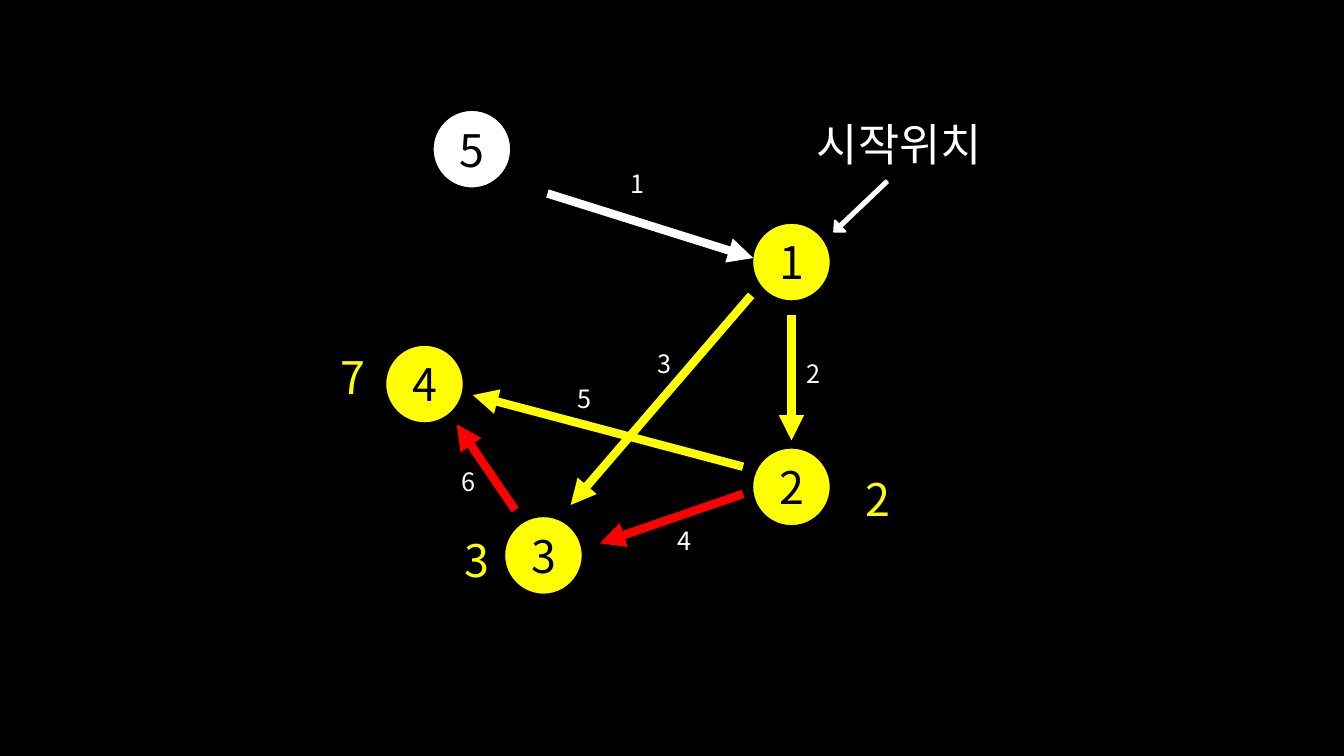
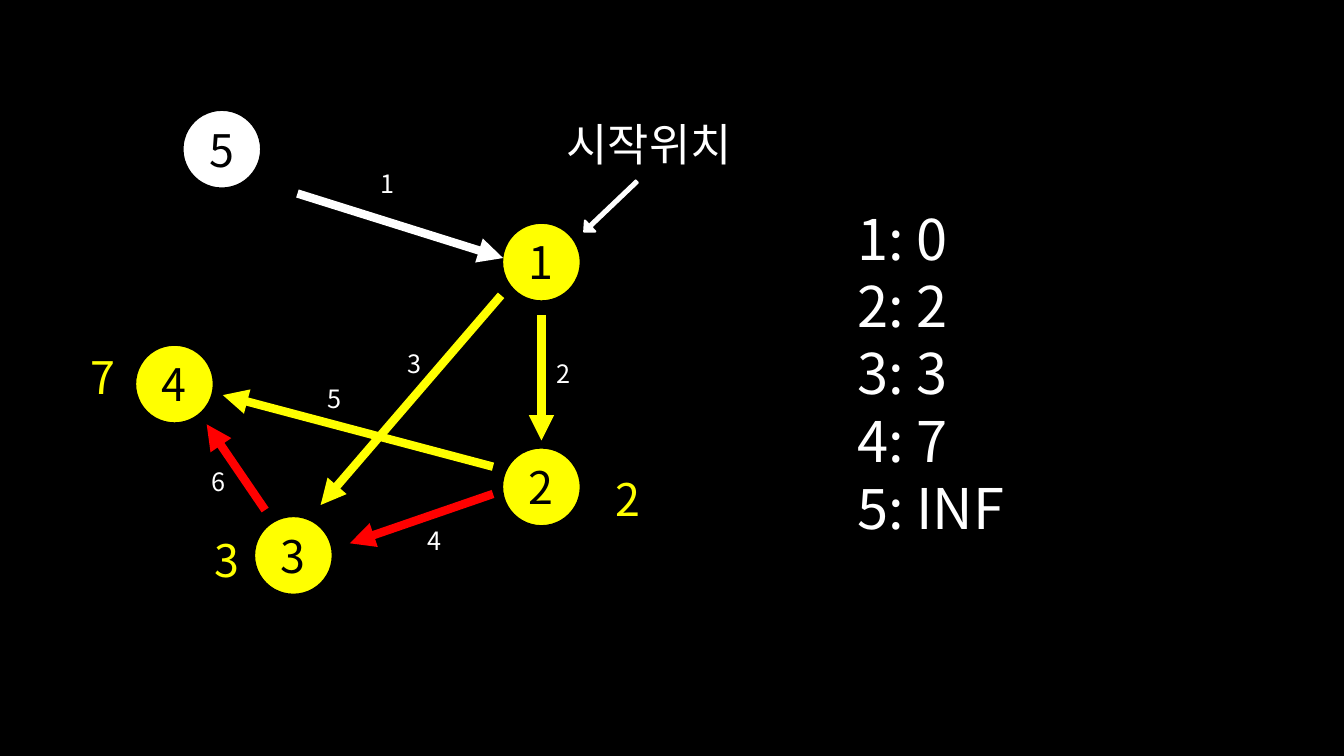
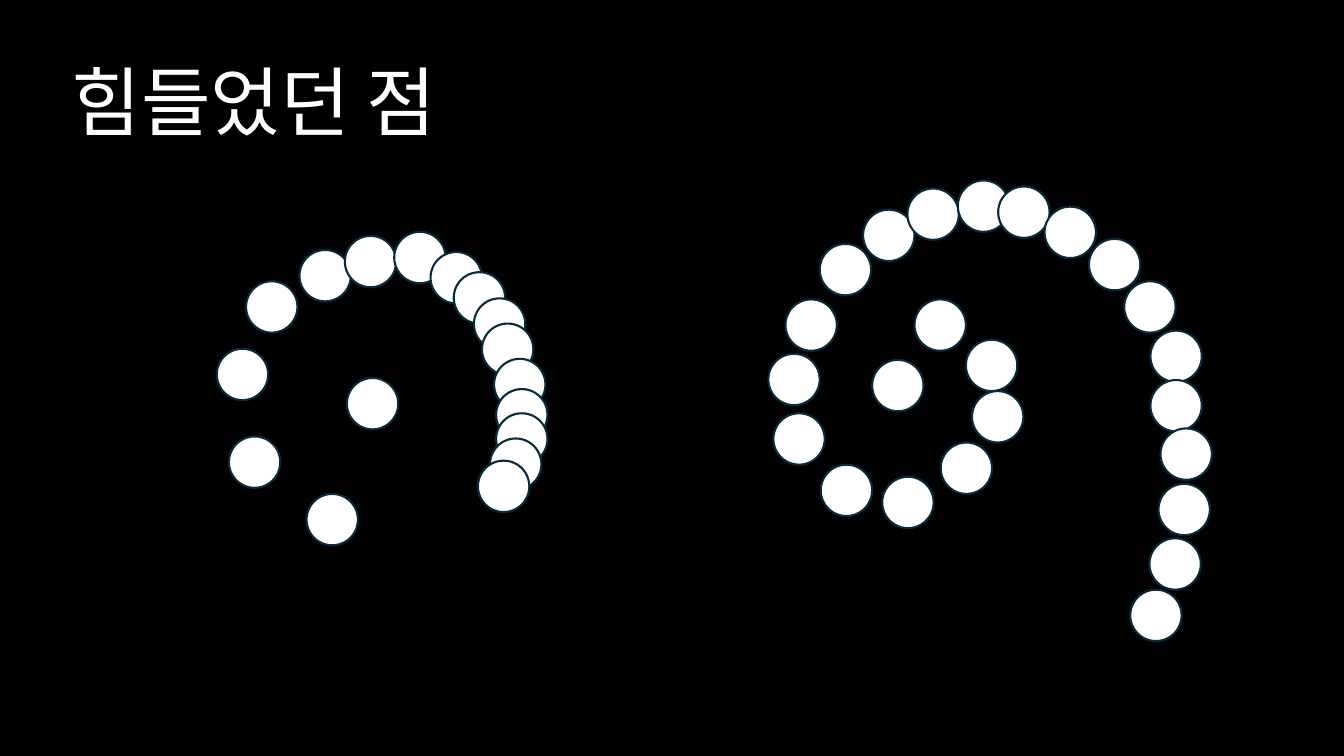
from dataclasses import dataclass

from lxml import etree
from pptx import Presentation
from pptx import util as u
from pptx.dml.color import RGBColor
from pptx.enum import shapes, text
from pptx.oxml.ns import qn

PX = 9144  # 100 px to the inch
FONT = "Noto Sans CJK KR"
BLACK, WHITE, YELLOW, RED, NAVY = "000000", "FFFFFF", "FFFF00", "FF0000", "092A39"
NODE_SIZE, DOT_SIZE = 78, 51
GRAPH_SHIFT = -248


@dataclass(frozen=True)
class Node:
    label: str
    left: int
    top: int
    color: str = YELLOW


@dataclass(frozen=True)
class Label:
    words: str
    left: int
    top: int
    width: int
    height: int
    size: int
    color: str = WHITE


@dataclass(frozen=True)
class Edge:
    start: tuple[int, int]
    end: tuple[int, int]
    color: str


def weight(words: str, left: int, top: int) -> Label:
    return Label(words, left, top, 58, 40, 18)


def distance(words: str, left: int, top: int) -> Label:
    return Label(words, left, top, 113, 64, 32, YELLOW)


NODES = [
    Node("1", 746, 221),
    Node("2", 746, 444),
    Node("3", 500, 512),
    Node("4", 382, 342),
    Node("5", 429, 109, WHITE),
]
LABELS = [
    weight("1", 603, 162),
    weight("2", 778, 351),
    weight("3", 630, 341),
    weight("4", 650, 516),
    weight("5", 551, 375),
    weight("6", 436, 458),
    Label("시작위치", 758, 111, 268, 64, 32),
    distance("7", 294, 342),
    distance("3", 417, 524),
    distance("2", 814, 463),
]
EDGES = [
    Edge((737, 490), (595, 539), RED),
    Edge((785, 313), (785, 437), YELLOW),
    Edge((543, 192), (747, 256), WHITE),
    Edge((511, 506), (453, 421), RED),
    Edge((737, 463), (469, 392), YELLOW),
    Edge((745, 293), (566, 501), YELLOW),
]
DISTANCES = ["1: 0", "2: 2", "3: 3", "4: 7", "5: INF"]

UNEVEN_SPIRAL = [
    (344, 375), (304, 490), (227, 433), (215, 346), (244, 279), (297, 248),
    (342, 234), (391, 230), (427, 250), (450, 270), (470, 296), (478, 321),
    (490, 356), (492, 386), (492, 410), (486, 435), (474, 457),
]
EVEN_SPIRAL = [
    (865, 357), (907, 297), (958, 337), (964, 388), (933, 439), (875, 473),
    (814, 461), (767, 410), (762, 351), (779, 297), (813, 242), (856, 208),
    (900, 187), (950, 179), (990, 185), (1036, 205), (1080, 237), (1115, 279),
    (1141, 328), (1141, 377), (1151, 425), (1149, 480), (1140, 534), (1121, 585),
]


def px(*lengths: int) -> list[u.Emu]:
    return [u.Emu(length * PX) for length in lengths]


def paint(target, color: str) -> None:
    """Give a fill or a line's fill one solid colour."""
    target.solid()
    target.fore_color.rgb = RGBColor.from_string(color)


def write(frame, lines: list[str], size: int, color: str,
          align=text.PP_ALIGN.CENTER) -> None:
    frame.text = "\n".join(lines)
    for para in frame.paragraphs:
        para.alignment = align
        para.space_before = u.Pt(0)
        para.font.size = u.Pt(size)
        para.font.name = FONT
        paint(para.font.fill, color)
        for properties in para._p.iter(qn("a:defRPr")):
            etree.SubElement(properties, qn("a:ea"), typeface=FONT)


def add_filled(page, kind, box: tuple[int, int, int, int], color: str, outline: str):
    shape = page.shapes.add_shape(kind, *px(*box))
    shape.shadow.inherit = False
    paint(shape.fill, color)
    paint(shape.line.fill, outline)
    shape.line.width = u.Pt(1.5)
    return shape


def add_circle(page, left: int, top: int, size: int, color: str, outline: str):
    return add_filled(page, shapes.MSO_SHAPE.OVAL, (left, top, size, size), color, outline)


def add_label(page, label: Label, shift: int) -> None:
    box = page.shapes.add_textbox(
        *px(label.left + shift, label.top, label.width, label.height))
    box.text_frame.word_wrap = True
    box.text_frame.auto_size = text.MSO_AUTO_SIZE.SHAPE_TO_FIT_TEXT
    write(box.text_frame, [label.words], label.size, label.color)


def add_edge(page, edge: Edge, shift: int) -> None:
    (x1, y1), (x2, y2) = edge.start, edge.end
    arrow = page.shapes.add_connector(
        shapes.MSO_CONNECTOR.STRAIGHT, *px(x1 + shift, y1, x2 + shift, y2))
    paint(arrow.line.fill, edge.color)
    arrow.line.width = u.Pt(6)
    properties = arrow._element.spPr
    etree.SubElement(properties.find(qn("a:ln")), qn("a:tailEnd"), type="triangle")
    etree.SubElement(properties, qn("a:effectLst"))


def add_graph(page, shift: int = 0) -> None:
    for node in NODES:
        circle = add_circle(page, node.left + shift, node.top, NODE_SIZE, node.color, BLACK)
        circle.text_frame.vertical_anchor = text.MSO_ANCHOR.MIDDLE
        write(circle.text_frame, [node.label], 32, BLACK)
    pointer = add_filled(page, shapes.MSO_SHAPE.DOWN_ARROW,
                         (846 + shift, 169, 15, 72), WHITE, WHITE)
    pointer.rotation = 46.4
    pointer.adjustments[0], pointer.adjustments[1] = 0.2, 0.54
    for edge in EDGES:
        add_edge(page, edge, shift)
    for label in LABELS:
        add_label(page, label, shift)


def fill_placeholder(holder, box: tuple[int, int, int, int],
                     lines: list[str], size: int) -> None:
    """Move a placeholder and set plain left-aligned lines in it."""
    holder.left, holder.top, holder.width, holder.height = px(*box)
    frame = holder.text_frame
    frame.vertical_anchor = text.MSO_ANCHOR.TOP
    frame.auto_size = text.MSO_AUTO_SIZE.SHAPE_TO_FIT_TEXT
    write(frame, lines, size, WHITE, text.PP_ALIGN.LEFT)
    for para in frame.paragraphs:
        properties = para._p.get_or_add_pPr()
        properties.set("marL", "0")
        properties.set("indent", "0")
        bullet = etree.Element(qn("a:buNone"))
        properties.find(qn("a:defRPr")).addprevious(bullet)


def main() -> None:
    deck = Presentation()
    deck.slide_width, deck.slide_height = u.Inches(13.33), u.Inches(7.5)
    paint(deck.slide_master.background.fill, BLACK)
    list_layout, title_layout, blank_layout = (deck.slide_layouts[i] for i in (1, 5, 6))

    add_graph(deck.slides.add_slide(blank_layout))

    page = deck.slides.add_slide(list_layout)
    title = page.shapes.title.element
    title.getparent().remove(title)
    add_graph(page, GRAPH_SHIFT)
    fill_placeholder(page.placeholders[1], (840, 198, 421, 347), DISTANCES, 40)

    page = deck.slides.add_slide(title_layout)
    fill_placeholder(page.shapes.title, (61, 49, 598, 101), ["힘들었던 점"], 54)
    for left, top in UNEVEN_SPIRAL + EVEN_SPIRAL:
        add_circle(page, left, top, DOT_SIZE, WHITE, NAVY)

    deck.save("out.pptx")


if __name__ == "__main__":
    main()
